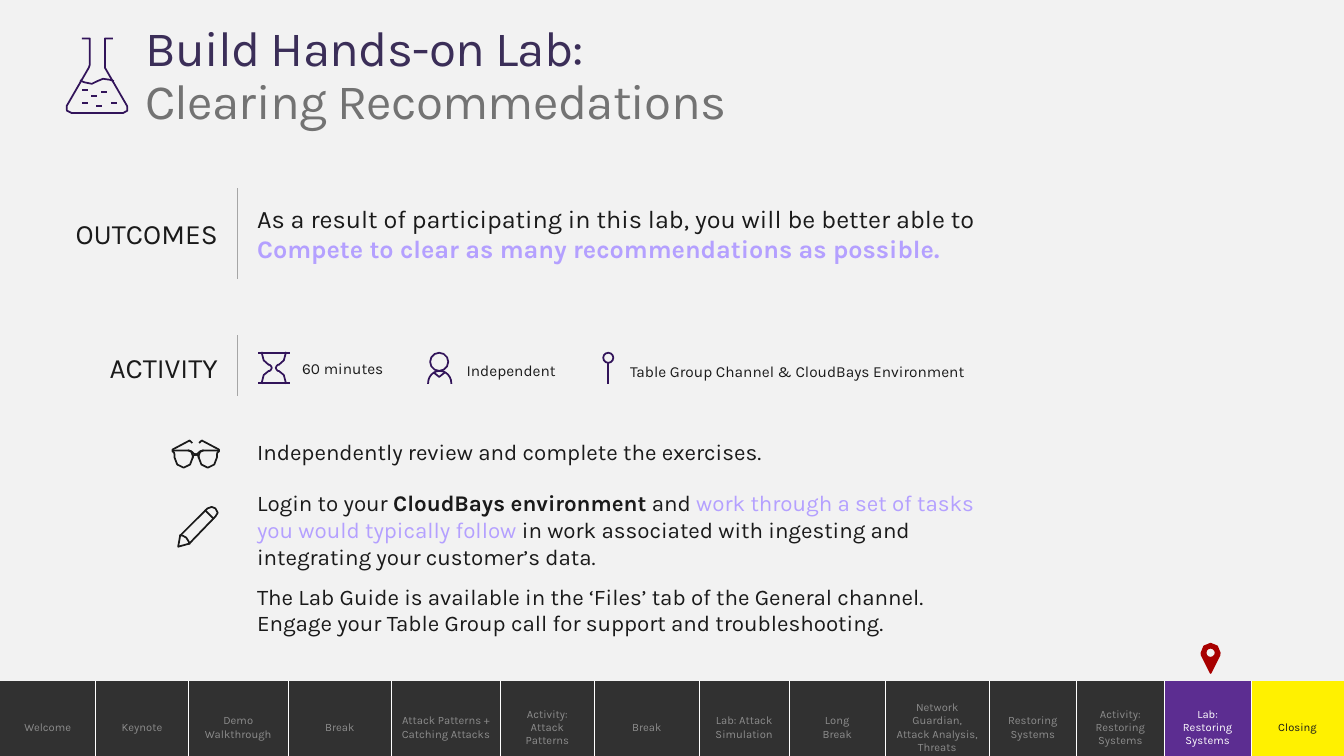
import math
from dataclasses import dataclass
from typing import Optional

import pptx
import pptx.dml.color
import pptx.enum.shapes
import pptx.enum.text
import pptx.oxml
import pptx.oxml.ns
import pptx.util
from pptx.dml.color import RGBColor
from pptx.util import Cm, Pt

BACKGROUND = RGBColor(0xF2, 0xF2, 0xF2)
TITLE = RGBColor(0x3B, 0x2E, 0x58)
SUBTITLE = RGBColor(0x73, 0x73, 0x73)
INK = RGBColor(0x1A, 0x1A, 0x1A)
LILAC = RGBColor(0xB4, 0xA0, 0xFF)
INDIGO = RGBColor(0x32, 0x14, 0x5A)
RULE = RGBColor(0xA6, 0xA6, 0xA6)
PIN_RED = RGBColor(0xA8, 0x00, 0x00)
CHARCOAL = RGBColor(0x31, 0x31, 0x31)
MUTED = RGBColor(0x8C, 0x8C, 0x8C)
PURPLE = RGBColor(0x5C, 0x2D, 0x91)
YELLOW = RGBColor(0xFF, 0xF1, 0x00)
WHITE = RGBColor(0xFF, 0xFF, 0xFF)

FONT = "Karla"
GRID = Cm(1) / 39.37  # one icon unit
CURVE_STEPS = 2
ARC_STEPS = 12
LEFT, CENTER, RIGHT = (pptx.enum.text.PP_ALIGN.LEFT, pptx.enum.text.PP_ALIGN.CENTER,
                       pptx.enum.text.PP_ALIGN.RIGHT)
Stroke = list[tuple[float, float]]


@dataclass
class Span:
    text: str
    color: RGBColor = INK
    bold: bool = False


@dataclass
class TextBox:
    left: float
    top: float
    width: float
    height: float
    size: float
    paragraphs: list[list[Span]]
    align: pptx.enum.text.PP_ALIGN = LEFT
    inset: bool = False


@dataclass
class Icon:
    left: float
    top: float
    strokes: list[Stroke]
    color: RGBColor = INDIGO
    fill: Optional[RGBColor] = None


@dataclass
class Session:
    name: str
    width: float
    fill: RGBColor = CHARCOAL
    color: RGBColor = MUTED


def bezier(*points: tuple[float, float]) -> Stroke:
    """Sample chained cubic curves: a start, then two controls and an end for each."""
    stroke = [points[0]]
    for first in range(0, len(points) - 1, 3):
        a, b, c, d = points[first:first + 4]
        for step in range(1, CURVE_STEPS + 1):
            t = step / CURVE_STEPS
            u = 1 - t
            weights = (u ** 3, 3 * u * u * t, 3 * u * t * t, t ** 3)
            stroke.append(tuple(sum(w * p[axis] for w, p in zip(weights, (a, b, c, d)))
                                for axis in (0, 1)))
    return stroke


def arc(x: float, y: float, rx: float, ry: float, start: int = 360, end: int = 0) -> Stroke:
    angles = [math.radians(start + (end - start) * step / ARC_STEPS)
              for step in range(ARC_STEPS + 1)]
    return [(x + rx * math.cos(angle), y + ry * math.sin(angle)) for angle in angles]


def with_mirror(strokes: list[Stroke], width: float) -> list[Stroke]:
    return strokes + [[(width - x, y) for x, y in stroke] for stroke in strokes]


def dash(x: float, y: float, length: float) -> Stroke:
    return [(x, y), (x + length, y)]


def draw_icon(page, icon: Icon) -> None:
    builder = None
    for stroke in icon.strokes:
        points = [(round(Cm(icon.left) + x * GRID), round(Cm(icon.top) + y * GRID))
                  for x, y in stroke]
        if builder is None:
            builder = page.shapes.build_freeform(*points[0])
        else:
            builder.move_to(*points[0])
        closed = points[0] == points[-1]
        builder.add_line_segments(points[1:-1] if closed else points[1:], close=closed)
    shape = builder.convert_to_shape()
    shape.shadow.inherit = False
    if icon.fill is None:
        shape.fill.background()
    else:
        shape.fill.solid()
        shape.fill.fore_color.rgb = icon.fill
    shape.line.color.rgb = icon.color
    shape.line.width = Pt(1.25)
    shape.line._get_or_add_ln().set("cap", "sq")


def draw_text(page, item: TextBox) -> None:
    box = page.shapes.add_textbox(Cm(item.left), Cm(item.top), Cm(item.width), Cm(item.height))
    frame = box.text_frame
    frame.word_wrap = True
    if not item.inset:
        frame.margin_left = frame.margin_right = frame.margin_top = frame.margin_bottom = 0
    for number, spans in enumerate(item.paragraphs):
        para = frame.add_paragraph() if number else frame.paragraphs[0]
        para.alignment = item.align
        if number:
            para.space_before = Pt(9.3)
        for span in spans:
            run = para.add_run()
            run.text = span.text
            run.font.name, run.font.size, run.font.bold = FONT, Pt(item.size), span.bold
            run.font.color.rgb = span.color


def draw_title(page) -> None:
    box = page.shapes.add_textbox(Cm(3.66), Cm(0.56), Cm(29.97), Cm(2.72))
    frame = box.text_frame
    frame.word_wrap = True
    frame.vertical_anchor = pptx.enum.text.MSO_ANCHOR.BOTTOM
    frame.margin_left = frame.margin_right = frame.margin_top = frame.margin_bottom = 0
    para = frame.paragraphs[0]
    para.text = "Build Hands-on Lab: \vClearing Recommedations"
    para.line_spacing = 0.9
    for run, color in zip(para.runs, (TITLE, SUBTITLE)):
        run.font.name, run.font.size = FONT, Pt(35.3)
        run.font.color.rgb = color
        run.font._element.set("spc", "-50")


def draw_rule(page, top: float, bottom: float) -> None:
    rule = page.shapes.add_connector(pptx.enum.shapes.MSO_CONNECTOR.STRAIGHT,
                                     Cm(5.99), Cm(top), Cm(5.99), Cm(bottom))
    rule.line.color.rgb = RULE
    rule.line.width = Pt(0.75)
    rule._element.spPr.append(pptx.oxml.parse_xml(
        f'<a:effectLst {pptx.oxml.ns.nsdecls("a")}/>'))


def draw_agenda(page, sessions: list[Session]) -> None:
    width = sum(session.width for session in sessions)
    table = page.shapes.add_table(1, len(sessions), 0, Cm(17.17), Cm(width), Cm(2.34)).table
    table.first_row = table.horz_banding = False
    for column, session in enumerate(sessions):
        table.columns[column].width = Cm(session.width)
        cell = table.cell(0, column)
        cell.vertical_anchor = pptx.enum.text.MSO_ANCHOR.MIDDLE
        cell.fill.solid()
        cell.fill.fore_color.rgb = session.fill
        cell.text_frame.text = session.name
        para = cell.text_frame.paragraphs[0]
        para.alignment = CENTER
        for run in para.runs:
            run.font.name, run.font.size = FONT, Pt(8)
            run.font.color.rgb = session.color
        shown = {"lnL": column > 0, "lnR": column < len(sessions) - 1, "lnT": False, "lnB": False}
        for position, (tag, visible) in enumerate(shown.items()):
            paint = f'<a:solidFill><a:srgbClr val="{WHITE}"/></a:solidFill>' if visible else "<a:noFill/>"
            cell._tc.get_or_add_tcPr().insert(position, pptx.oxml.parse_xml(
                f'<a:{tag} {pptx.oxml.ns.nsdecls("a")} w="3175">{paint}</a:{tag}>'))


FLASK = [
    bezier((48, 42), (48, 42), (43, 40), (38, 40), (32, 40), (32, 45), (27, 45), (22, 45), (16, 42), (16, 42)),
    [(18, 0), (25, 0), (25, 26), (24, 29), *bezier((2, 67), (0, 70), (3, 74), (7, 74)),
     *bezier((58, 74), (62, 74), (64, 70), (62, 67)), (40, 29), (40, 26), (40, 0), (47, 0)],
    *[dash(x, y, 4.5) for x, y in ((18, 64), (27, 57), (18, 51), (37, 53), (47, 64), (32, 67))]]
HOURGLASS = [dash(0, 0, 30), dash(0, 30, 30)] + with_mirror([
    bezier((27, 30), (27, 23), (24, 20), (20, 18))
    + bezier((19, 18), (18, 17), (17, 16), (17, 15), (17, 14), (18, 13), (19, 12))
    + bezier((20, 12), (24, 10), (27, 6), (27, 0))], 30)
PERSON = [arc(11, 9, 9, 9), arc(11.5, 30, 11.5, 12, 180, 360), [(6, 20), (11, 24), (16, 20)]]
PLACE = [arc(5.5, 5, 5, 5), [(5.5, 10), (5.5, 30)]]
GLASSES = with_mirror([
    [(27, 2), (29, 0), (46, 9), *bezier((46, 11), (45, 11), (44, 12), (44, 14)),
     *bezier((44, 17), (44, 22), (40, 27), (35, 27), (30, 27), (26, 22), (26, 17),
             (26, 15), (25, 14), (23, 14))],
    [(45, 10), *bezier((30, 10), (28, 10), (26, 12), (26, 15)), (26, 17)],
    bezier((23, 14), (24, 14), (25, 13), (26, 12), (27, 11), (28, 10), (30, 10))], 46)
PENCIL = [
    [(11, 37), (0, 40), (2, 29),
     *bezier((29, 2), (32, 0), (35, 0), (37, 2), (40, 5), (40, 8), (37, 10)), (11, 37)],
    [(27, 4), (35, 12)],
    bezier((11, 37), (11, 37), (11, 34), (8, 31), (6, 28), (2, 29), (2, 29))]
PIN = [[(17, 13), (9, 29), *bezier((1, 13), (0, 12), (0, 11), (0, 9), (0, 4), (4, 0), (9, 0),
                                   (14, 0), (18, 4), (18, 9), (18, 11), (18, 12), (17, 13))],
       arc(9, 9, 5, 5)]

ICONS = [Icon(1.63, 0.97, FLASK), Icon(6.52, 8.89, HOURGLASS), Icon(10.79, 8.89, PERSON),
         Icon(15.19, 8.89, PLACE), Icon(4.35, 11.1, GLASSES, INK), Icon(4.49, 12.76, PENCIL, INK),
         Icon(30.28, 16.22, PIN, PIN_RED, PIN_RED)]
TEXTS = [
    TextBox(1.71, 5.46, 3.78, 0.86, 20, [[Span("OUTCOMES")]], RIGHT),
    TextBox(1.83, 8.84, 3.66, 0.86, 20, [[Span("ACTIVITY")]], RIGHT),
    TextBox(6.23, 4.99, 19.2, 1.8, 18, [[
        Span("As a result of participating in this lab, you will be better able to "),
        Span("Compete to clear as many recommendations as possible.", LILAC, True)]], inset=True),
    TextBox(7.32, 9.06, 2.64, 0.48, 11, [[Span("60 minutes")]], CENTER),
    TextBox(11.76, 9.09, 3.1, 0.48, 11, [[Span("Independent")]]),
    TextBox(15.88, 9.12, 9.27, 0.48, 11, [[Span("Table Group Channel & CloudBays Environment")]]),
    TextBox(6.23, 10.92, 19.2, 0.94, 16, [[Span("Independently review and complete the exercises.")]], inset=True),
    TextBox(6.23, 12.2, 19.2, 4.01, 16, [
        [Span("Login to your "), Span("CloudBays environment", bold=True), Span(" and "),
         Span("work through a set of tasks you would typically follow ", LILAC),
         Span("in work associated with ingesting and integrating your customer’s data.")],
        [Span("The Lab Guide is available in the ‘Files’ tab of the General channel. "
              "Engage your Table Group call for support and troubleshooting.")]], inset=True)]
SESSIONS = [
    Session("Welcome", 2.41), Session("Keynote", 2.34), Session("Demo Walkthrough", 2.51),
    Session("Break", 2.61), Session("Attack Patterns + Catching Attacks", 2.74),
    Session("Activity: Attack Patterns", 2.37), Session("Break", 2.64),
    Session("Lab: Attack Simulation", 2.27), Session("Long\vBreak", 2.42),
    Session("Network Guardian, Attack Analysis, Threats", 2.62), Session("Restoring Systems", 2.2),
    Session("Activity: Restoring Systems", 2.21),
    Session("Lab: Restoring Systems", 2.19, PURPLE, WHITE), Session("Closing", 2.34, YELLOW, INK)]


def main() -> None:
    deck = pptx.Presentation()
    deck.slide_width, deck.slide_height = Cm(33.87), Cm(19.05)
    page = deck.slides.add_slide(deck.slide_layouts[6])
    page.background.fill.solid()
    page.background.fill.fore_color.rgb = BACKGROUND
    draw_title(page)
    for top, bottom in ((4.74, 7.04), (8.45, 9.98)):
        draw_rule(page, top, bottom)
    for item in TEXTS:
        draw_text(page, item)
    for icon in ICONS:
        draw_icon(page, icon)
    draw_agenda(page, SESSIONS)
    deck.save("out.pptx")


if __name__ == "__main__":
    main()
